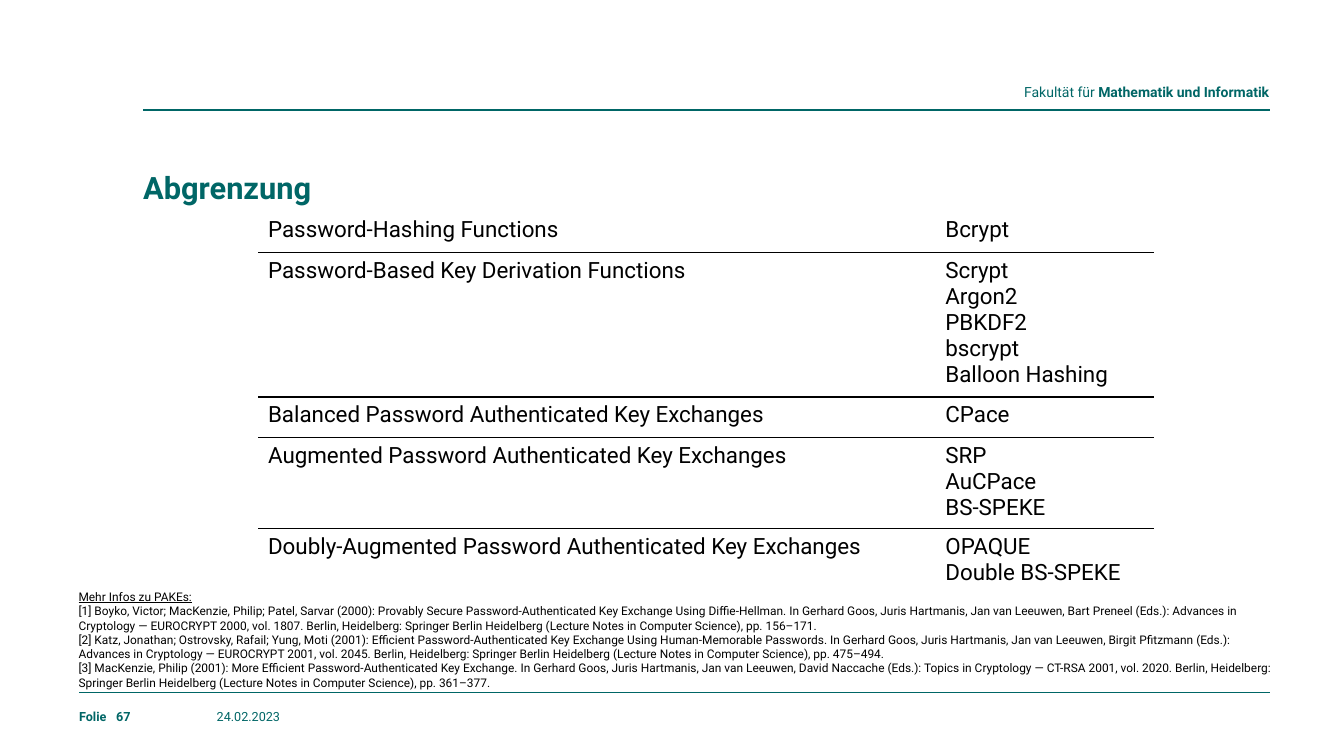
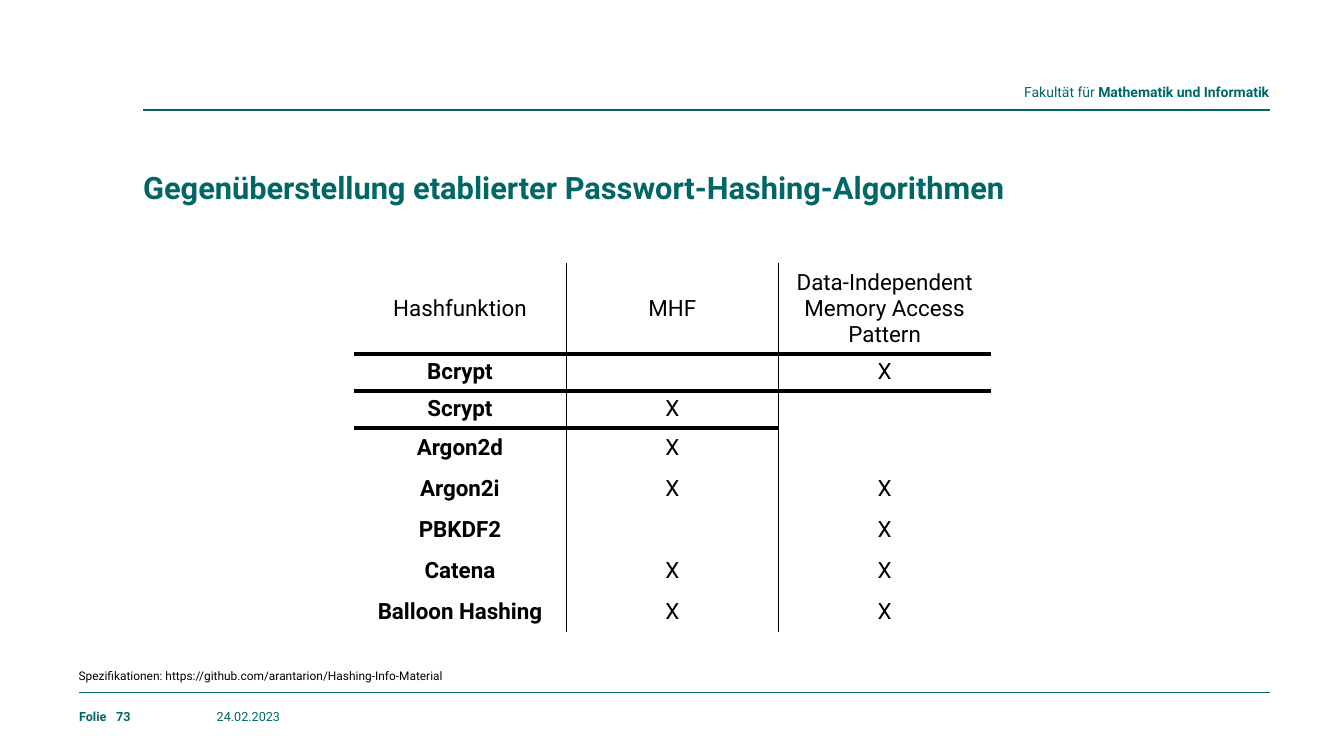
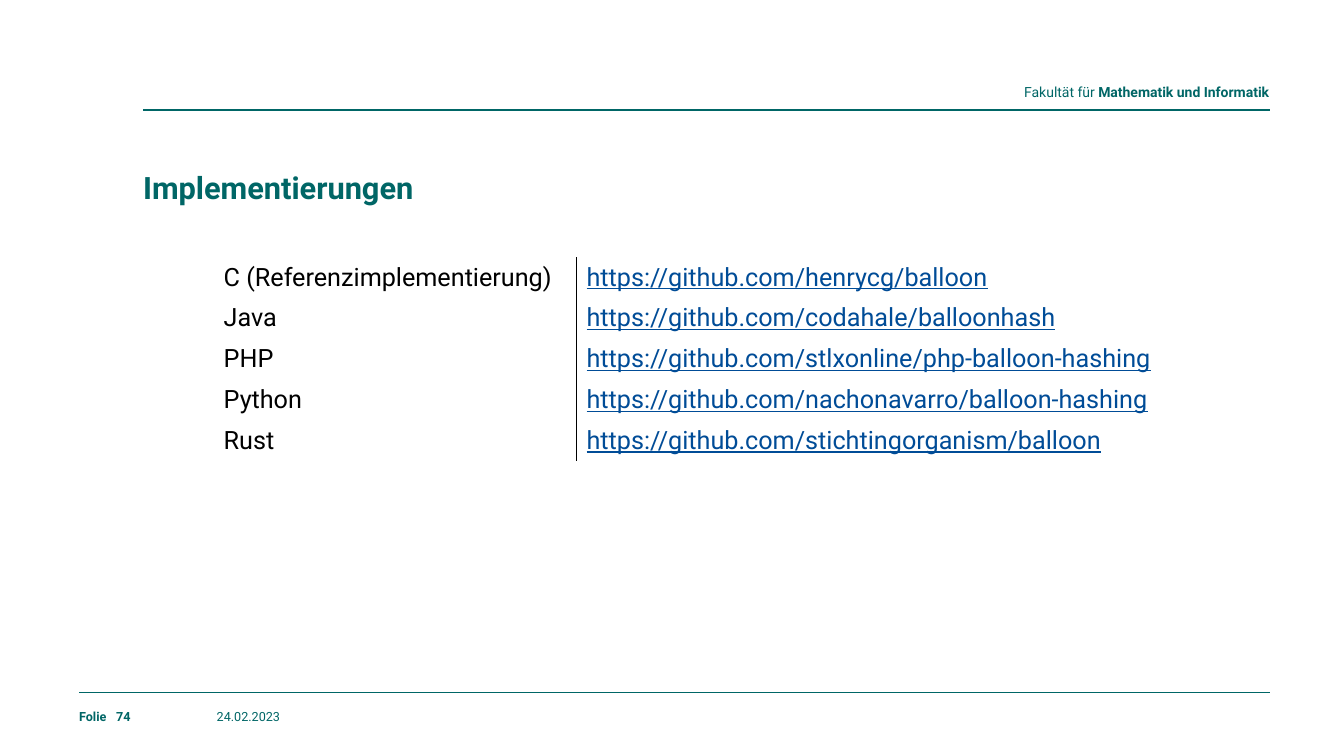
from lxml.etree import SubElement
from pptx import Presentation
from pptx.dml.color import RGBColor
from pptx.enum.shapes import MSO_CONNECTOR
from pptx.enum.text import MSO_ANCHOR, PP_ALIGN
from pptx.oxml.ns import qn
from pptx.util import Pt

COLORS = {"teal": "006666", "black": "000000", "link": "004C97"}
FONT = "Roboto"
DATE = "24.02.2023"
PLAIN_TABLE_STYLE = "{2D5ABB26-0587-4C30-8999-92F81FD0307C}"

HEADER_LEFT = 102.24
FOOTER_LEFT = 56.5
CONTENT_RIGHT = 907.2
FOOTER_TOP = 506.2
ROW = 29.2

REFERENCES = [
    [("Mehr Infos zu PAKEs:", {"underline": True})],
    "[1] Boyko, Victor; MacKenzie, Philip; Patel, Sarvar (2000): Provably Secure "
    "Password-Authenticated Key Exchange Using Diffie-Hellman. In Gerhard Goos, Juris Hartmanis, "
    "Jan van Leeuwen, Bart Preneel (Eds.): Advances in Cryptology — EUROCRYPT 2000, vol. 1807. "
    "Berlin, Heidelberg: Springer Berlin Heidelberg (Lecture Notes in Computer Science), "
    "pp. 156–171.",
    "[2] Katz, Jonathan; Ostrovsky, Rafail; Yung, Moti (2001): Efficient Password-Authenticated "
    "Key Exchange Using Human-Memorable Passwords. In Gerhard Goos, Juris Hartmanis, "
    "Jan van Leeuwen, Birgit Pfitzmann (Eds.): Advances in Cryptology — EUROCRYPT 2001, vol. 2045. "
    "Berlin, Heidelberg: Springer Berlin Heidelberg (Lecture Notes in Computer Science), "
    "pp. 475–494.",
    "[3] MacKenzie, Philip (2001): More Efficient Password-Authenticated Key Exchange. "
    "In Gerhard Goos, Juris Hartmanis, Jan van Leeuwen, David Naccache (Eds.): Topics in "
    "Cryptology — CT-RSA 2001, vol. 2020. Berlin, Heidelberg: Springer Berlin Heidelberg "
    "(Lecture Notes in Computer Science), pp. 361–377.",
]

SCHEMES = [
    ("Password-Hashing Functions", ["Bcrypt"]),
    ("Password-Based Key Derivation Functions",
     ["Scrypt", "Argon2", "PBKDF2", "bscrypt", "Balloon Hashing"]),
    ("Balanced Password Authenticated Key Exchanges", ["CPace"]),
    ("Augmented Password Authenticated Key Exchanges", ["SRP", "AuCPace", "BS-SPEKE"]),
    ("Doubly-Augmented Password Authenticated Key Exchanges", ["OPAQUE", "Double BS-SPEKE"]),
]

HASH_FUNCTIONS = [
    ([[("Hashfunktion", {"bold": False})]], "MHF", "Data-Independent Memory Access Pattern"),
    ("Bcrypt", "", "X"),
    ("Scrypt", "X", ""),
    ("Argon2d", "X", ""),
    ("Argon2i", "X", "X"),
    ("PBKDF2", "", "X"),
    ("Catena", "X", "X"),
    ("Balloon Hashing", "X", "X"),
]

IMPLEMENTATIONS = [
    ("C (Referenzimplementierung)", "https://github.com/henrycg/balloon"),
    ("Java", "https://github.com/codahale/balloonhash"),
    ("PHP", "https://github.com/stlxonline/php-balloon-hashing"),
    ("Python", "https://github.com/nachonavarro/balloon-hashing"),
    ("Rust", "https://github.com/stichtingorganism/balloon"),
]


def format_font(font, size, color="black", bold=False, underline=False):
    font.name = FONT
    font.size = Pt(size)
    font.bold = bold
    font.underline = underline
    font.color.rgb = RGBColor.from_string(COLORS[color])


def write_text(frame, text, align=PP_ALIGN.LEFT, **style):
    """Text is a string or a list of paragraphs; a paragraph is a string or (text, style) spans."""
    frame.word_wrap = True
    for index, spans in enumerate([text] if isinstance(text, str) else text):
        para = frame.add_paragraph() if index else frame.paragraphs[0]
        para.alignment = align
        if not spans:
            SubElement(para._p, qn("a:endParaRPr"), sz=str(style["size"] * 100))
        for words, changes in [(spans, {})] if isinstance(spans, str) and spans else spans:
            span = para.add_run()
            span.text = words
            format_font(span.font, **{**style, **changes})


def add_text(page, text, left, top, width, height, margins=(0, 0), **style):
    frame = page.shapes.add_textbox(Pt(left), Pt(top), Pt(width), Pt(height)).text_frame
    frame.margin_left = frame.margin_right = Pt(margins[0])
    frame.margin_top = frame.margin_bottom = Pt(margins[1])
    write_text(frame, text, **style)


def add_footnote(page, text, top, height):
    add_text(page, text, 49, top, 867.6, height, margins=(7.2, 3.6), size=8.5)


def add_rule(page, left, right, top):
    rule = page.shapes.add_connector(MSO_CONNECTOR.STRAIGHT, Pt(left), Pt(top), Pt(right), Pt(top))
    rule.line.color.rgb = RGBColor.from_string(COLORS["teal"])
    rule.line.width = Pt(1)
    SubElement(rule._element.spPr, qn("a:effectLst"))


def add_border(cell, side, width):
    line = SubElement(cell._tc.get_or_add_tcPr(), qn(f"a:ln{side}"), w=str(Pt(width)))
    fill = SubElement(line, qn("a:solidFill"))
    SubElement(fill, qn("a:srgbClr"), val=COLORS["black"])


def add_grid(page, rows, left, top, widths, heights, styles, below=None, between=0,
             anchor=MSO_ANCHOR.MIDDLE):
    """below maps (row, column) to the rule under that cell; between is the column rule width."""
    below = below or {}
    frame = page.shapes.add_table(len(rows), len(widths), Pt(left), Pt(top),
                                  Pt(sum(widths)), Pt(sum(heights)))
    table = frame.table
    table.first_row = table.horz_banding = False
    table._tbl.tblPr.find(qn("a:tableStyleId")).text = PLAIN_TABLE_STYLE
    for column, width in zip(table.columns, widths):
        column.width = Pt(width)
    for r, (row, height) in enumerate(zip(rows, heights)):
        table.rows[r].height = Pt(height)
        for c, text in enumerate(row):
            cell = table.cell(r, c)
            write_text(cell.text_frame, text, **styles[c])
            cell.vertical_anchor = anchor
            borders = {
                "L": between if c else 0,
                "R": between if c < len(row) - 1 else 0,
                "T": below.get((r - 1, c), 0),
                "B": below.get((r, c), 0),
            }
            for side, border in borders.items():
                if border:
                    add_border(cell, side, border)
            cell.fill.background()


def add_page(deck, title, number):
    page = deck.slides.add_slide(deck.slide_layouts[6])
    add_rule(page, HEADER_LEFT, CONTENT_RIGHT, 78.5)
    add_rule(page, FOOTER_LEFT, CONTENT_RIGHT, 494.6)
    faculty = [[("Fakultät für ", {}), ("Mathematik und Informatik", {"bold": True})]]
    add_text(page, faculty, 547.2, 59.8, 359.3, 17.3, align=PP_ALIGN.RIGHT, size=10, color="teal")
    add_text(page, title, HEADER_LEFT, 120.2, 805, 31, size=22, color="teal", bold=True)
    for text, left, width, bold in [("Folie", FOOTER_LEFT, 34, True),
                                    (str(number), 83, 44, True),
                                    (DATE, 154.8, 98, False)]:
        add_text(page, text, left, FOOTER_TOP, width, 18.7, size=9, color="teal", bold=bold)
    return page


def add_distinction(deck):
    page = add_page(deck, "Abgrenzung", 67)
    add_footnote(page, REFERENCES, 417.6, 90)
    below = {(r, c): 1 for r in range(len(SCHEMES) - 1) for c in range(2)}
    add_grid(page, SCHEMES, 184.3, 151.2, [483.8, 156.2], [ROW, 103, ROW, 65, 46],
             [{"size": 16}] * 2, below=below, anchor=MSO_ANCHOR.TOP)


def add_comparison(deck):
    page = add_page(deck, "Gegenüberstellung etablierter Passwort-Hashing-Algorithmen", 73)
    mark = {"size": 16, "align": PP_ALIGN.CENTER}
    below = {(0, 0): 3, (0, 1): 3, (0, 2): 3, (1, 0): 3, (1, 1): 3}
    add_grid(page, HASH_FUNCTIONS, 252.7, 187.9, [151.7] * 3, [63, 26, 26] + [ROW] * 5,
             [{**mark, "bold": True}, mark, mark], below=below, between=1)
    add_footnote(page, "Spezifikationen: https://github.com/arantarion/Hashing-Info-Material",
                 473.8, 17.3)


def add_implementations(deck):
    page = add_page(deck, "Implementierungen", 74)
    add_grid(page, IMPLEMENTATIONS, 152.6, 183.6, [259.2, 444], [ROW] * len(IMPLEMENTATIONS),
             [{"size": 18}, {"size": 18, "color": "link", "underline": True}], between=1)


def main():
    deck = Presentation()
    deck.slide_width, deck.slide_height = Pt(960), Pt(540)
    add_distinction(deck)
    add_comparison(deck)
    add_implementations(deck)
    deck.save("out.pptx")


if __name__ == "__main__":
    main()
